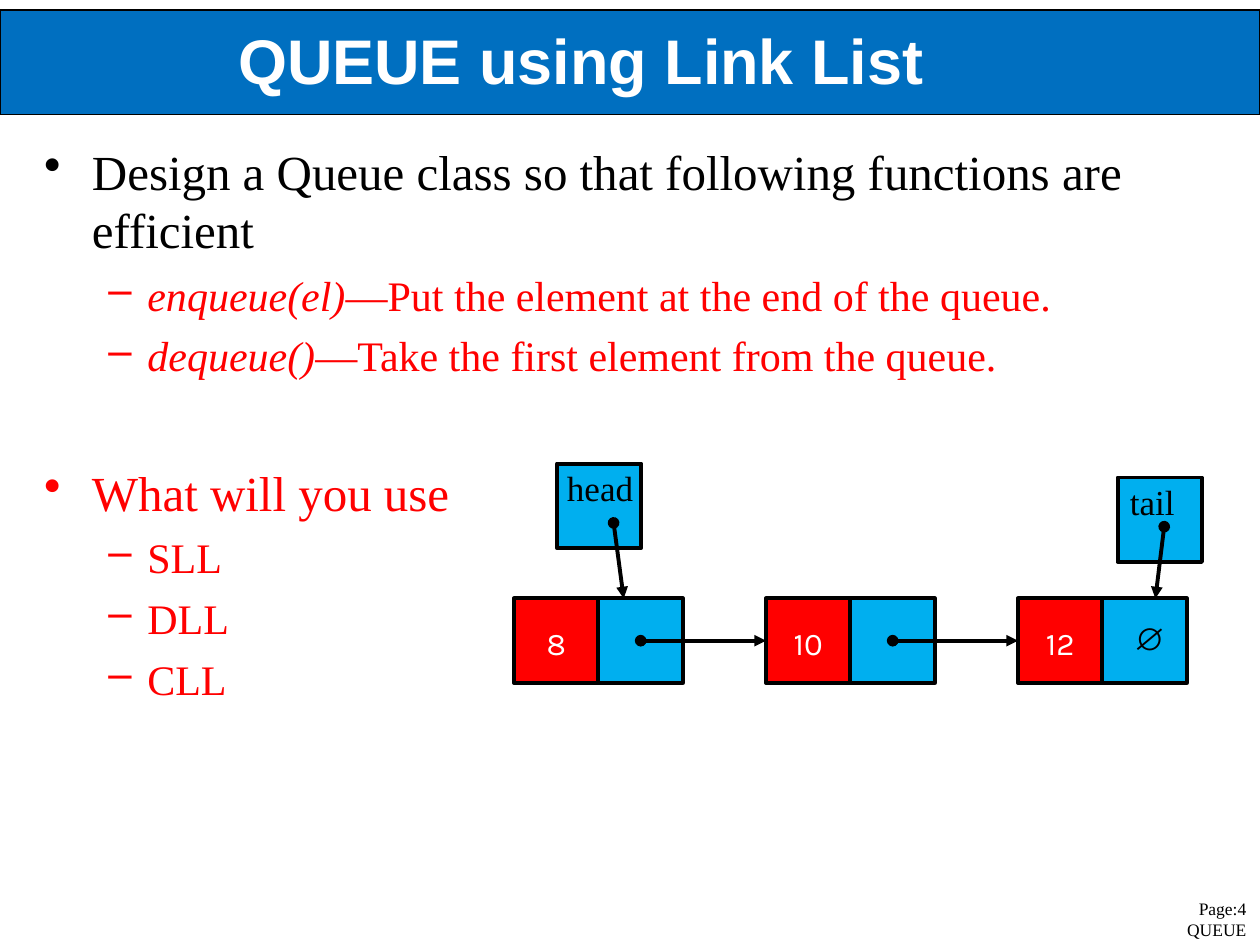
from lxml import etree
from pptx import Presentation
from pptx.dml.color import RGBColor
from pptx.enum.shapes import MSO_CONNECTOR, MSO_SHAPE
from pptx.enum.text import MSO_ANCHOR, PP_ALIGN
from pptx.oxml.ns import qn
from pptx.util import Inches, Pt

RECT = MSO_SHAPE.RECTANGLE
LINE = MSO_CONNECTOR.STRAIGHT
TOP = MSO_ANCHOR.TOP
LEFT, MID, RIGHT = PP_ALIGN.LEFT, PP_ALIGN.CENTER, PP_ALIGN.RIGHT

INK = {"bar": "006FC0", "red": "FF0000", "blue": "00AFEF",
       "black": "000000", "white": "FFFFFF"}
SERIF, SANS, DIGIT = "Times New Roman", "Arial", "Karla"

# Bullet sign, left margin, hanging indent and size of each outline level
LEVELS = [("•", 0.39, -0.38, 28), ("–", 0.83, -0.31, 24)]
SIDE = 0.67


def shade(name):
    return RGBColor.from_string(INK[name])


def add_text(par, text, font=SERIF, size=20, color="black",
             bold=False, italic=False):
    run = par.add_run()
    run.text = text
    face = run.font
    face.name, face.size = font, Pt(size)
    face.bold, face.italic = bold, italic
    face.color.rgb = shade(color)


class Board:
    def __init__(self, slide, edge=2.25):
        self.shapes = slide.shapes
        self.edge = edge

    def frame(self, shape, left=0, top=0):
        body = shape.text_frame
        body.word_wrap = True
        body.vertical_anchor = TOP
        body.margin_left, body.margin_top = Inches(left), Inches(top)
        body.margin_right = body.margin_bottom = 0
        return body

    def rect(self, x, y, w, h, fill, edge=None):
        box = self.shapes.add_shape(RECT, Inches(x), Inches(y),
                                    Inches(w), Inches(h))
        box.shadow.inherit = False
        box.fill.solid()
        box.fill.fore_color.rgb = shade(fill)
        box.line.color.rgb = shade("black")
        box.line.width = Pt(edge or self.edge)
        return box

    def cell(self, x, y, fill, text="", left=0, top=0, align=LEFT, **style):
        box = self.rect(x, y, SIDE, SIDE, fill)
        if text:
            par = self.frame(box, left, top).paragraphs[0]
            par.alignment = align
            add_text(par, text, **style)
        return box

    def label(self, x, y, w, h, lines, align=LEFT, pitch=None, **style):
        box = self.shapes.add_textbox(Inches(x), Inches(y),
                                      Inches(w), Inches(h))
        body = self.frame(box)
        for i, line in enumerate(lines):
            par = body.add_paragraph() if i else body.paragraphs[0]
            par.alignment = align
            if pitch:
                par.line_spacing = Pt(pitch)
            add_text(par, line, **style)

    def outline(self, x, y, w, h, items):
        box = self.shapes.add_textbox(Inches(x), Inches(y),
                                      Inches(w), Inches(h))
        body = self.frame(box)
        for i, (level, color, text) in enumerate(items):
            par = body.add_paragraph() if i else body.paragraphs[0]
            sign, margin, indent, size = LEVELS[level]
            par.level = level
            props = par._p.get_or_add_pPr()
            props.set("marL", str(Inches(margin)))
            props.set("indent", str(Inches(indent)))
            etree.SubElement(props, qn("a:buChar")).set("char", sign)
            if i:
                par.space_before = Pt(5.9)
            # The call before a dash is in italics
            call, dash, rest = text.partition("—")
            add_text(par, call, size=size, color=color, italic=bool(dash))
            if dash:
                add_text(par, dash + rest, size=size, color=color)

    def arrow(self, x1, y1, x2, y2, goal=None):
        link = self.shapes.add_connector(LINE, Inches(x1), Inches(y1),
                                         Inches(x2), Inches(y2))
        if goal is not None:
            link.end_connect(goal, 1)
        link.line.color.rgb = shade("black")
        link.line.width = Pt(self.edge)
        ln = link.line._get_or_add_ln()
        for tag, kind in (("a:headEnd", "oval"), ("a:tailEnd", "triangle")):
            etree.SubElement(ln, qn(tag)).set("type", kind)
        etree.SubElement(link._element.spPr, qn("a:effectLst"))


def main():
    deck = Presentation()
    deck.slide_width, deck.slide_height = Inches(10), Inches(7.5)
    board = Board(deck.slides.add_slide(deck.slide_layouts[6]))

    # Title bar
    board.rect(0, 0.08, 10, 0.83, "bar", edge=0.75)
    board.label(1.89, 0.17, 7.24, 0.63, ["QUEUE using Link List"],
                font=SANS, size=36, color="white", bold=True)

    # Task and choices
    board.outline(0.34, 1.12, 8.7, 1.92, [
        (0, "black", "Design a Queue class so that following functions "
                     "are efficient"),
        (1, "red", "enqueue(el)—Put the element at the end of the queue."),
        (1, "red", "dequeue()—Take the first element from the queue."),
    ])
    board.outline(0.34, 3.67, 3.4, 1.92, [
        (0, "red", "What will you use"),
        (1, "red", "SLL"), (1, "red", "DLL"), (1, "red", "CLL"),
    ])

    # List nodes: a value cell and a link cell each
    row, start, step = 4.75, 4.08, 2
    values = []
    for i, value in enumerate(("8", "10", "12")):
        x = start + i * step
        values.append(board.cell(x, row, "red", value, top=0.2, align=MID,
                                 font=DIGIT, size=18, color="white"))
        null = "∅" if value == "12" else ""
        board.cell(x + SIDE, row, "blue", null, left=0.25, top=0.16,
                   font=SANS, size=18)

    # Links to the next node
    mid = row + SIDE / 2
    for i, goal in enumerate(values[1:]):
        x = start + i * step
        board.arrow(x + 1.5 * SIDE, mid, x + step, mid, goal)

    # Head and tail pointers
    board.cell(4.42, 3.68, "blue", "head", left=0.08, top=0.02)
    board.arrow(4.87, 4.15, 4.95, row)
    board.cell(8.87, 3.79, "blue", "tail", left=0.1, top=0.02)
    board.arrow(9.24, 4.18, 9.17, row)

    # Page mark
    board.label(9.3, 7.13, 0.59, 0.35, ["Page:4", "QUEUE"], align=RIGHT,
                pitch=12, size=10)

    deck.save("out.pptx")


if __name__ == "__main__":
    main()
